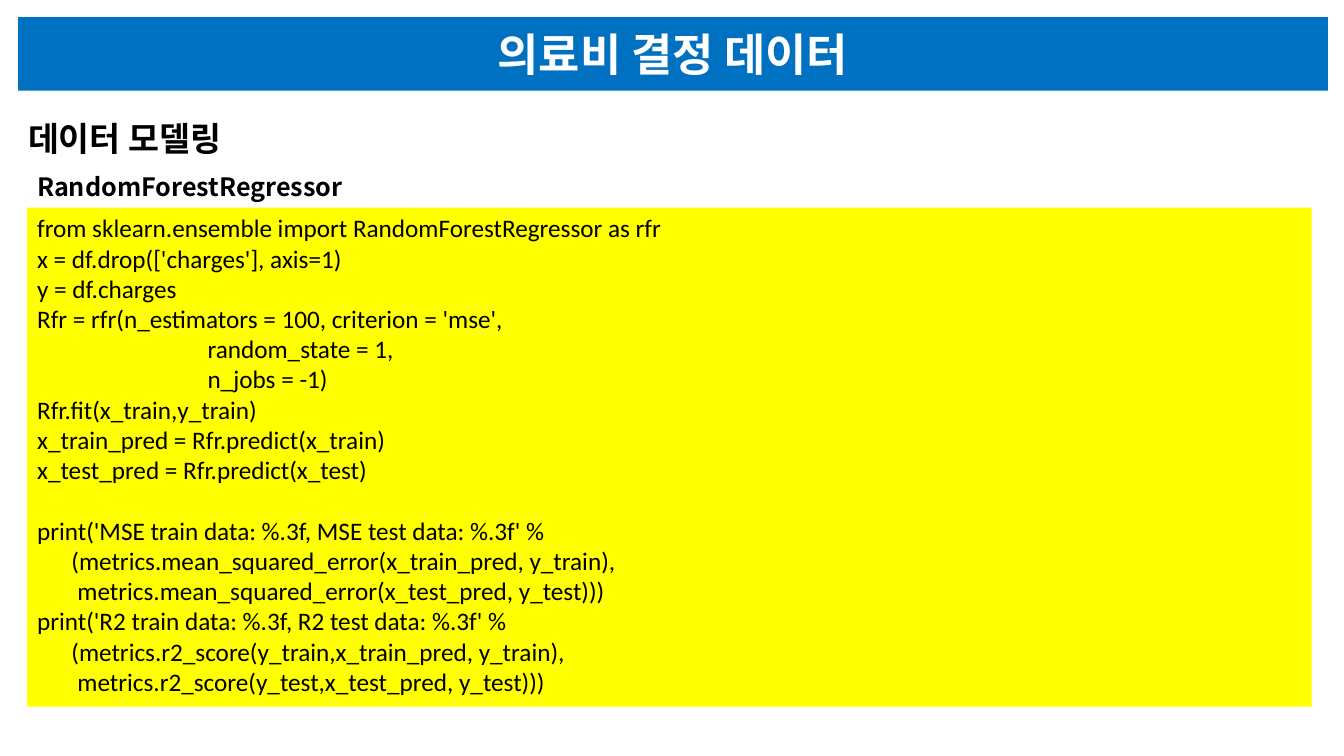
from lxml import etree
from pptx import Presentation
from pptx.dml.color import RGBColor
from pptx.enum import shapes, text
from pptx.oxml.ns import qn
from pptx.util import Inches, Pt

TITLE = "의료비 결정 데이터"
HEADING = "데이터 모델링"
MODEL = "RandomForestRegressor"
# Each line: indent in inches, code; every group is set off by one line of space
CODE_GROUPS = [
    [
        (0, "from sklearn.ensemble import RandomForestRegressor as rfr"),
        (0, "x = df.drop(['charges'], axis=1)"),
        (0, "y = df.charges"),
        (0, "Rfr = rfr(n_estimators = 100, criterion = 'mse',"),
        (1.69, "random_state = 1,"),
        (1.69, "n_jobs = -1)"),
        (0, "Rfr.fit(x_train,y_train)"),
        (0, "x_train_pred = Rfr.predict(x_train)"),
        (0, "x_test_pred = Rfr.predict(x_test)"),
    ],
    [
        (0, "print('MSE train data: %.3f, MSE test data: %.3f' %"),
        (0.34, "(metrics.mean_squared_error(x_train_pred, y_train),"),
        (0.4, "metrics.mean_squared_error(x_test_pred, y_test)))"),
        (0, "print('R2 train data: %.3f, R2 test data: %.3f' %"),
        (0.34, "(metrics.r2_score(y_train,x_train_pred, y_train),"),
        (0.4, "metrics.r2_score(y_test,x_test_pred, y_test)))"),
    ],
]
COLORS = {"bar": "0070C0", "code": "FFFF00", "ink": "000000", "light": "FFFFFF"}
KOREAN, LATIN = "Noto Sans CJK KR", "Calibri"
CODE_LINE = Pt(21.6)


def color(name):
    return RGBColor.from_string(COLORS[name])


def place(box, left, top, width, height):
    box.left, box.top = Inches(left), Inches(top)
    box.width, box.height = Inches(width), Inches(height)


def fill_box(box, name):
    box.fill.solid()
    box.fill.fore_color.rgb = color(name)
    box.line.fill.background()


def write(para, words, size=18, font=KOREAN, ink="ink", bold=True,
          align=text.PP_ALIGN.LEFT, indent=0, before=0):
    para.alignment = align
    para.space_before = before
    if indent:
        para._p.get_or_add_pPr().set("marL", str(Inches(indent)))
    span = para.add_run()
    span.text = words
    span.font.size, span.font.name, span.font.bold = Pt(size), font, bold
    span.font.color.rgb = color(ink)
    east_asian = etree.SubElement(span.font._element, qn("a:ea"))
    east_asian.set("typeface", font)


def add_label(page, words, left, top, width, height, size):
    box = page.shapes.add_textbox(0, 0, 0, 0)
    place(box, left, top, width, height)
    box.text_frame.word_wrap = True
    write(box.text_frame.paragraphs[0], words, size=size)


def add_code(page, left, top, width, height):
    box = page.shapes.add_shape(shapes.MSO_SHAPE.RECTANGLE, 0, 0, 0, 0)
    place(box, left, top, width, height)
    box.shadow.inherit = False
    fill_box(box, "code")
    frame = box.text_frame
    frame.word_wrap = True
    frame.vertical_anchor = text.MSO_ANCHOR.TOP
    para = frame.paragraphs[0]
    for group_number, group in enumerate(CODE_GROUPS):
        for line_number, (indent, words) in enumerate(group):
            if group_number or line_number:
                para = frame.add_paragraph()
            gap = CODE_LINE if group_number and not line_number else 0
            write(para, words, font=LATIN, bold=False, indent=indent, before=gap)


def main():
    deck = Presentation()
    deck.slide_width, deck.slide_height = Inches(13.33), Inches(7.5)
    page = deck.slides.add_slide(deck.slide_layouts[5])

    title = page.shapes.title
    place(title, 0.18, 0.17, 12.99, 0.73)
    fill_box(title, "bar")
    title.text_frame.vertical_anchor = text.MSO_ANCHOR.MIDDLE
    write(title.text_frame.paragraphs[0], TITLE, size=32, ink="light",
          align=text.PP_ALIGN.CENTER)

    add_label(page, HEADING, 0.18, 1.12, 12.99, 0.5, size=24)
    add_code(page, 0.27, 2.06, 12.74, 4.95)
    add_label(page, MODEL, 0.27, 1.65, 12.23, 0.4, size=18)
    deck.save("out.pptx")


if __name__ == "__main__":
    main()
